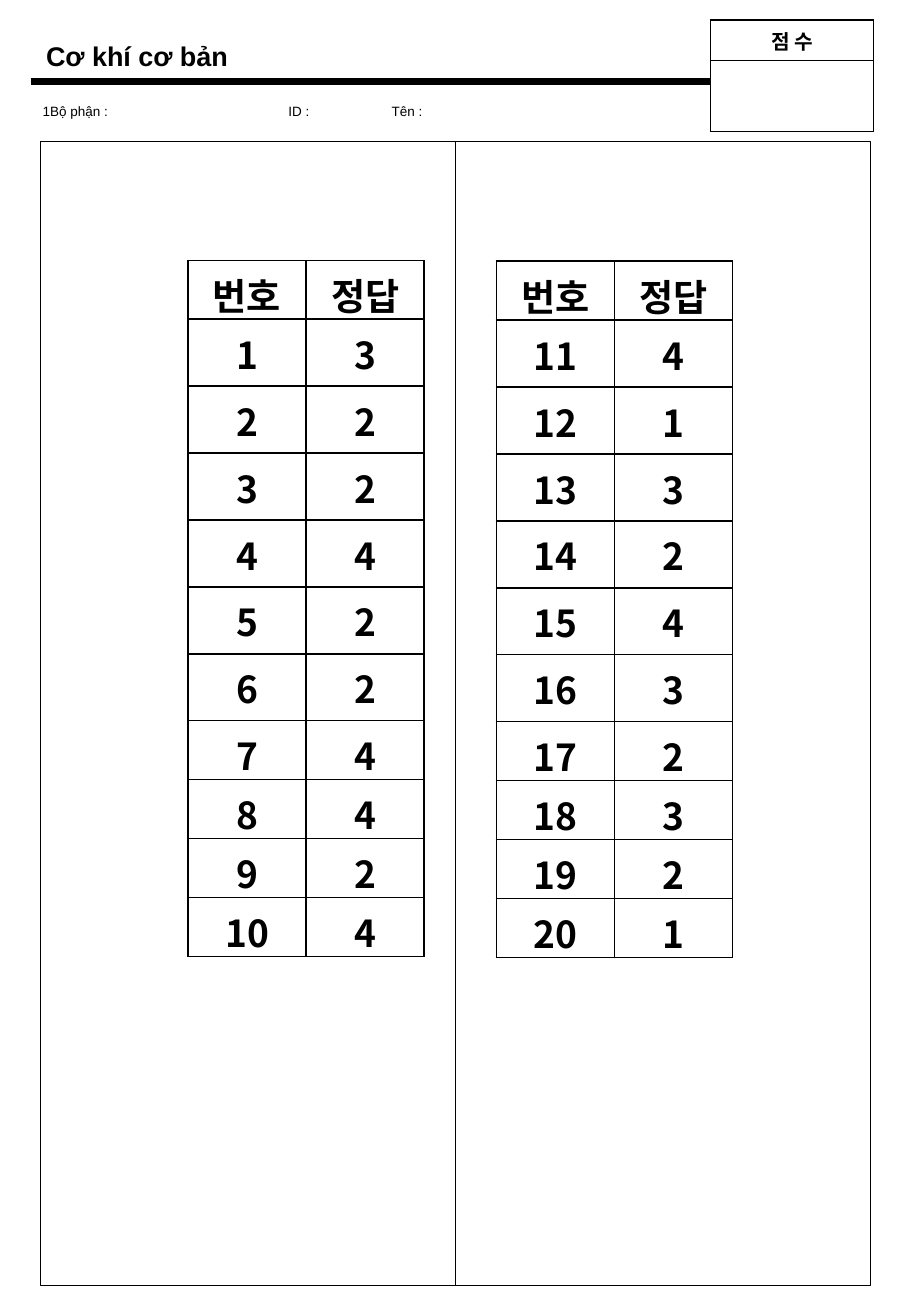
from dataclasses import dataclass

from lxml.etree import SubElement
from pptx import Presentation
from pptx.dml.color import RGBColor
from pptx.enum.shapes import MSO_CONNECTOR as Connector
from pptx.enum.shapes import MSO_SHAPE as Shape
from pptx.enum.text import MSO_ANCHOR as Anchor
from pptx.enum.text import MSO_AUTO_SIZE as AutoSize
from pptx.enum.text import PP_ALIGN as Align
from pptx.oxml import parse_xml
from pptx.oxml.ns import nsdecls, qn
from pptx.util import Cm, Pt


@dataclass(frozen=True)
class Theme:
    ink: str = "000000"
    paper: str = "FFFFFF"
    latin_font: str = "Arial"
    korean_font: str = "Noto Sans CJK KR"
    title_size: float = 16
    label_size: float = 8
    score_size: float = 12
    answer_size: float = 22
    rule_width: float = 4.5
    panel_width: float = 0.75
    border_width: float = 1


class AnswerSheet:
    def __init__(self, deck, theme):
        self.theme = theme
        self.ink = RGBColor.from_string(theme.ink)
        self.paper = RGBColor.from_string(theme.paper)
        self.slide = deck.slides.add_slide(deck.slide_layouts[5])

    def set_text(self, para, text, size, font, bold=False, align=Align.LEFT):
        para.text = text
        para.alignment = align
        para.font.size = Pt(size)
        para.font.bold = bold
        para.font.name = font
        para.font.color.rgb = self.ink
        east_asian = SubElement(para.font._element, qn("a:ea"))
        east_asian.set("typeface", font)

    def title(self, text, left, top, width, height):
        box = self.slide.shapes.title
        box.left, box.top = Cm(left), Cm(top)
        box.width, box.height = Cm(width), Cm(height)
        frame = box.text_frame
        frame.word_wrap = False
        frame.auto_size = AutoSize.SHAPE_TO_FIT_TEXT
        frame.vertical_anchor = Anchor.TOP
        self.set_text(frame.paragraphs[0], text, self.theme.title_size,
                      self.theme.latin_font, bold=True)

    def labels(self, texts, stops, left, top, width, height):
        box = self.slide.shapes.add_textbox(Cm(left), Cm(top), Cm(width), Cm(height))
        box.text_frame.word_wrap = True
        para = box.text_frame.paragraphs[0]
        self.set_text(para, "\t".join(texts), self.theme.label_size, self.theme.latin_font)
        tabs = parse_xml(f"<a:tabLst {nsdecls('a')}/>")
        for stop in stops:
            SubElement(tabs, qn("a:tab"), pos=str(Cm(stop)), algn="l")
        para.font._element.addprevious(tabs)

    def rule(self, left, right, top):
        line = self.slide.shapes.add_connector(
            Connector.STRAIGHT, Cm(left), Cm(top), Cm(right), Cm(top))
        line.line.color.rgb = self.ink
        line.line.width = Pt(self.theme.rule_width)
        SubElement(line._element.spPr, qn("a:effectLst"))

    def panel(self, left, top, width, height):
        box = self.slide.shapes.add_shape(
            Shape.RECTANGLE, Cm(left), Cm(top), Cm(width), Cm(height))
        box.shadow.inherit = False
        box.fill.background()
        box.line.color.rgb = self.ink
        box.line.width = Pt(self.theme.panel_width)

    def border(self, cell):
        properties = cell._tc.get_or_add_tcPr()
        for index, side in enumerate(("lnL", "lnR", "lnT", "lnB")):
            properties.insert(index, parse_xml(
                f'<a:{side} {nsdecls("a")} w="{Pt(self.theme.border_width)}">'
                f'<a:solidFill><a:srgbClr val="{self.theme.ink}"/></a:solidFill>'
                f'</a:{side}>'))

    def table(self, rows, left, top, column_width, row_heights, size,
              inset, anchor=Anchor.TOP, space_before=0):
        columns = len(rows[0])
        table = self.slide.shapes.add_table(
            len(rows), columns, Cm(left), Cm(top),
            Cm(column_width * columns), Cm(sum(row_heights))).table
        table.first_row = table.horz_banding = False
        for column in table.columns:
            column.width = Cm(column_width)
        for row, height, texts in zip(table.rows, row_heights, rows):
            row.height = Cm(height)
            for cell, text in zip(row.cells, texts):
                cell.fill.solid()
                cell.fill.fore_color.rgb = self.paper
                self.border(cell)
                cell.margin_top = cell.margin_bottom = Cm(inset)
                cell.vertical_anchor = anchor
                if text:
                    para = cell.text_frame.paragraphs[0]
                    self.set_text(para, text, size, self.theme.korean_font,
                                  bold=True, align=Align.CENTER)
                    para.space_before = Pt(space_before)

    def answers(self, first_number, answers, left, top):
        rows = [("번호", "정답")]
        rows += [(str(number), answer) for number, answer in enumerate(answers, first_number)]
        short, tall = 1.23, 1.4
        heights = [short] + [tall] * 6 + [short] * 4
        self.table(rows, left, top, 2.47, heights, self.theme.answer_size, inset=0.15)


def main():
    deck = Presentation()
    deck.slide_width, deck.slide_height = Cm(19.05), Cm(27.51)
    theme = Theme()
    sheet = AnswerSheet(deck, theme)

    sheet.title("Cơ khí cơ bản", 0.71, 0.69, 4.52, 0.94)
    sheet.rule(0.64, 18.2, 1.7)
    sheet.labels(("1Bộ phận :", "ID :", "Tên :"), (5.14, 7.3), 0.64, 2.03, 8.69, 0.6)
    panel_width = 8.68
    for column in range(2):
        sheet.panel(0.84 + column * panel_width, 2.96, panel_width, 23.92)
    sheet.table([("점 수",), ("",)], 14.86, 0.42, 3.4, (0.84, 1.49), theme.score_size,
                inset=0.13, anchor=Anchor.MIDDLE, space_before=2.4)
    sheet.answers(1, "3224224424", 3.93, 5.44)
    sheet.answers(11, "4132432321", 10.38, 5.46)

    deck.save("out.pptx")


if __name__ == "__main__":
    main()
